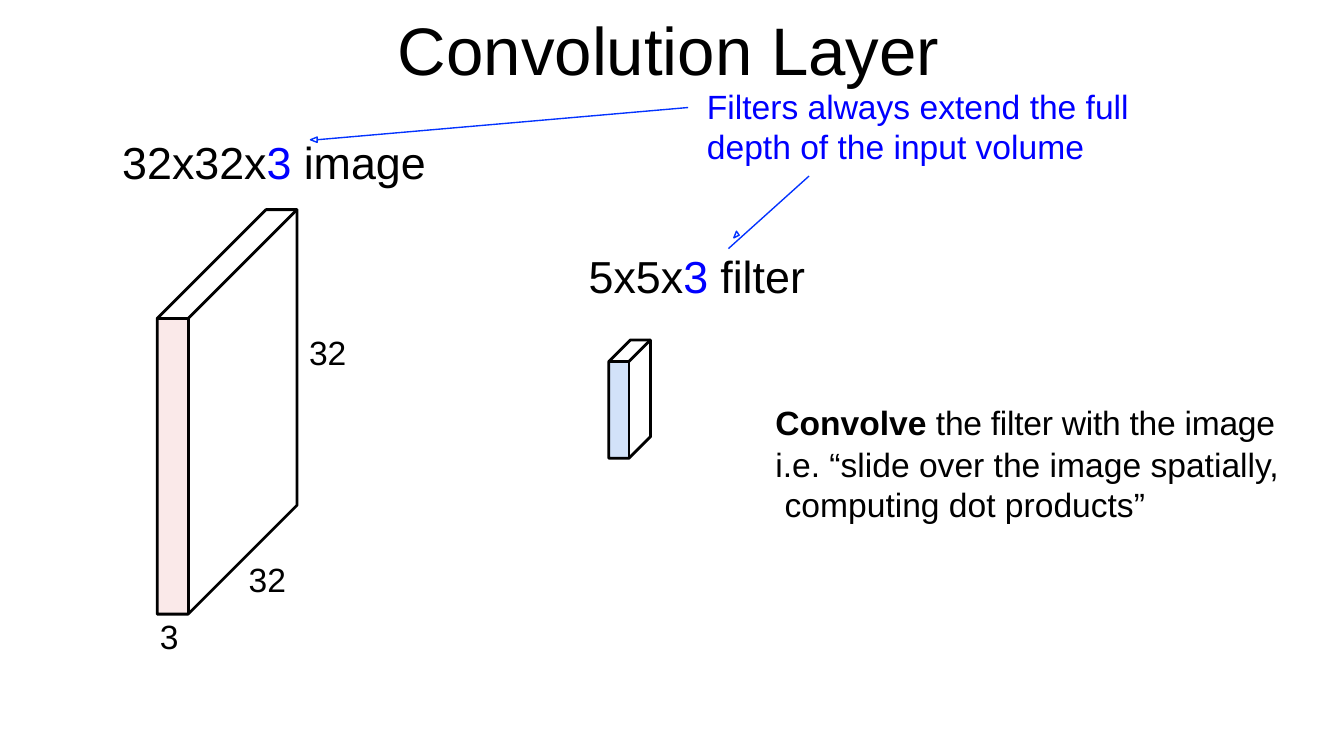
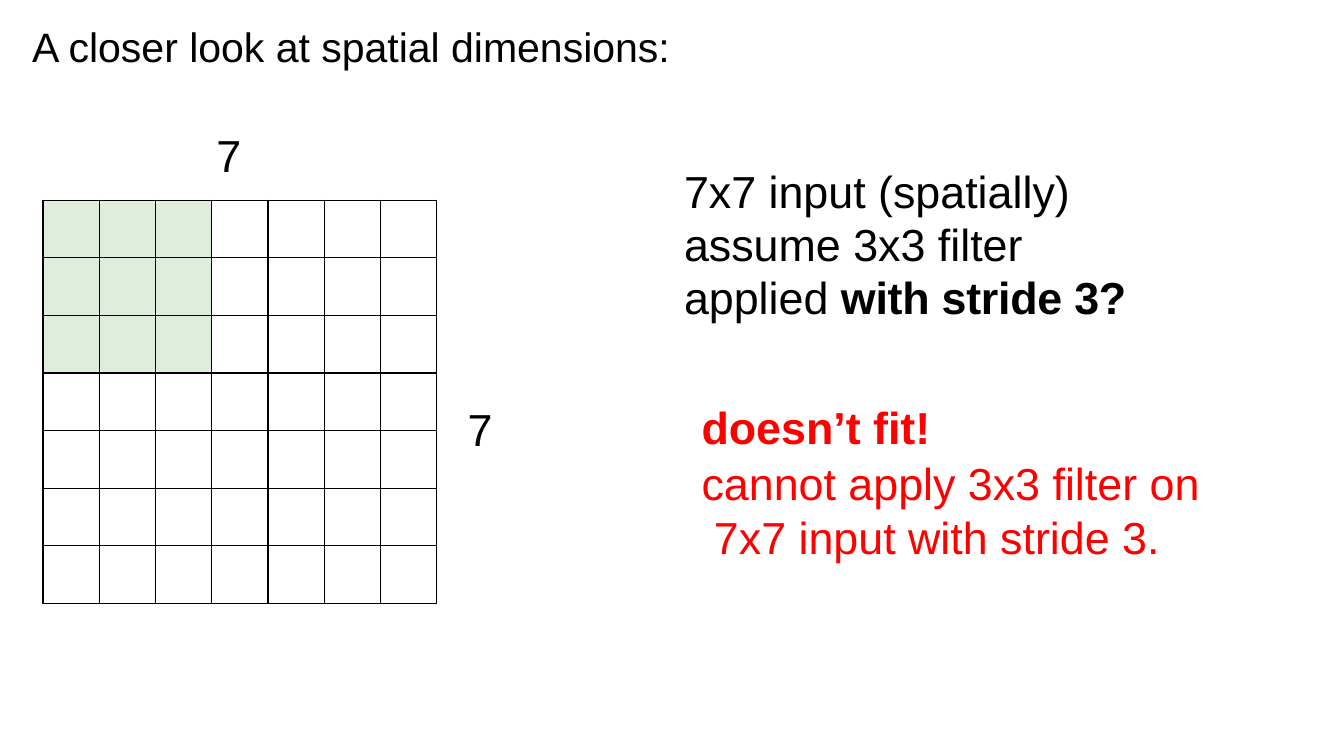
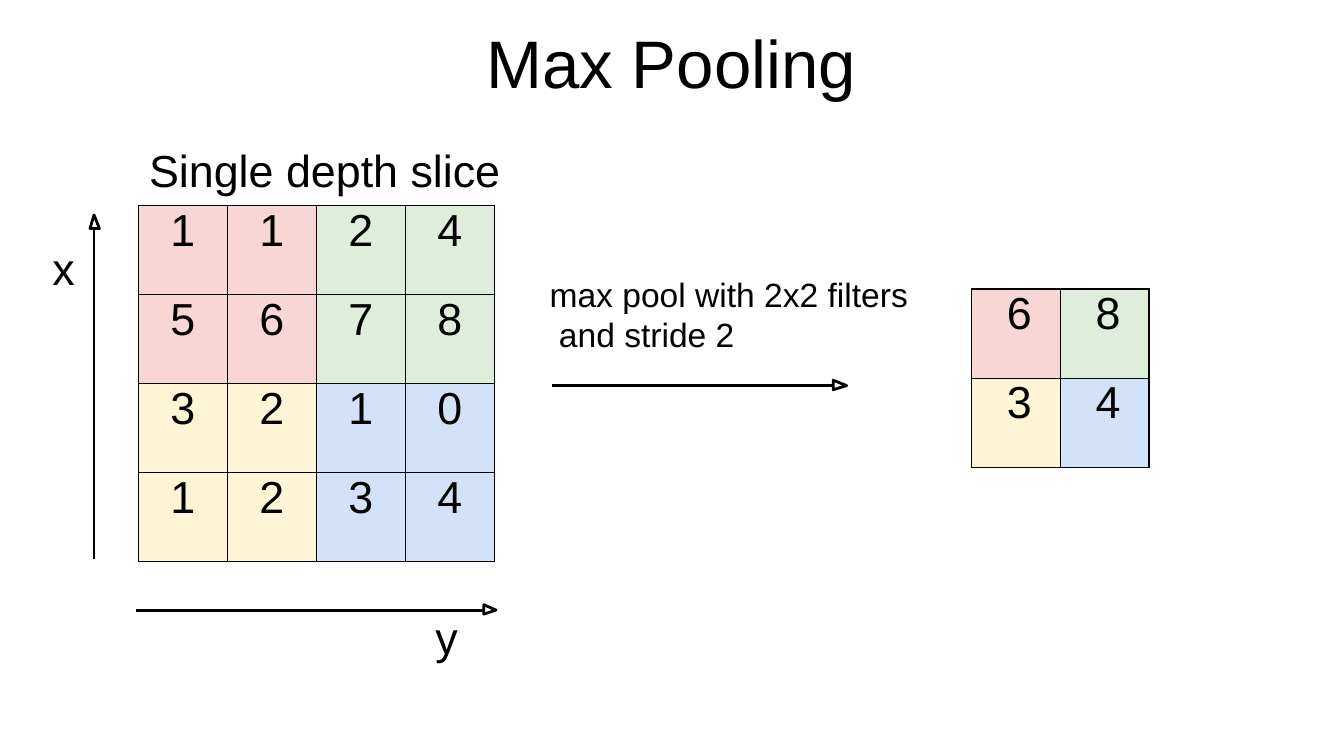
import lxml.etree
import pptx
import pptx.dml.color
import pptx.enum.shapes
import pptx.enum.text
import pptx.oxml.ns
import pptx.util

BLACK = pptx.dml.color.RGBColor(0x00, 0x00, 0x00)
BLUE = pptx.dml.color.RGBColor(0x00, 0x00, 0xFF)
ARROW_BLUE = pptx.dml.color.RGBColor(0x04, 0x33, 0xFF)
RED = pptx.dml.color.RGBColor(0xFF, 0x00, 0x00)
PINK = pptx.dml.color.RGBColor(0xF7, 0xD6, 0xD5)
GREEN = pptx.dml.color.RGBColor(0xDF, 0xED, 0xDB)
YELLOW = pptx.dml.color.RGBColor(0xFF, 0xF4, 0xD5)
SKY = pptx.dml.color.RGBColor(0xD2, 0xE2, 0xF9)

FONT = "Arial"
TITLE, LARGE, HEADING, NORMAL = 36, 24, 22, 18
THICK, THIN = 1.5, 0.75
UNIT = pptx.util.Inches(0.1)  # the slide is a 16:9 grid, 100 columns wide
qn = pptx.oxml.ns.qn


def write_text(frame, paragraphs, size, leading=None, align=pptx.enum.text.PP_ALIGN.LEFT):
    """Fill a frame; each paragraph is a list of (text, colour, bold) spans."""
    for number, spans in enumerate(paragraphs):
        para = frame.add_paragraph() if number else frame.paragraphs[0]
        para.alignment = align
        para.space_before = pptx.util.Pt(1)
        if leading:
            para.line_spacing = pptx.util.Pt(leading)
        para.font.name = FONT
        para.font.size = pptx.util.Pt(size)
        para.font.bold = spans[0][2]
        para.font.color.rgb = spans[0][1]
        for text, color, bold in spans:
            for line_number, line in enumerate(text.split("\n")):
                if line_number:
                    para.add_line_break()
                span = para.add_run()
                span.text = line
                if color != spans[0][1]:
                    span.font.color.rgb = color
                if bold != spans[0][2]:
                    span.font.bold = bold


def draw_outline(slide, points, color=None, width=THICK, fill=None, closed=True):
    corners = [(int(x * UNIT), int(y * UNIT)) for x, y in points]
    builder = slide.shapes.build_freeform(*corners[0], scale=1.0)
    builder.add_line_segments(corners[1:], close=closed)
    outline = builder.convert_to_shape()
    outline.shadow.inherit = False
    if fill is None:
        outline.fill.background()
    else:
        outline.fill.solid()
        outline.fill.fore_color.rgb = fill
    if color is None:
        outline.line.fill.background()
    else:
        outline.line.color.rgb = color
        outline.line.width = pptx.util.Pt(width)
    return outline


deck = pptx.Presentation()
deck.slide_width = 100 * UNIT
deck.slide_height = deck.slide_width * 9 // 16
convolution, dimensions, pooling = [
    deck.slides.add_slide(deck.slide_layouts[5]) for _ in range(3)
]

# Titles: slide, text, place, size
titles = [
    (convolution, "Convolution Layer", (29.5, 0.5, 40.4, 6.3), TITLE),
    (dimensions, "A closer look at spatial dimensions:", (2.3, 1.5, 47.8, 3.9), HEADING),
    (pooling, "Max Pooling", (36.1, 1.5, 27.8, 6.3), TITLE),
]
# Texts: slide, place, size, line spacing in points, paragraphs
texts = [
    (convolution, (22.9, 24.6, 3, 3.3), NORMAL, None, [[("32", BLACK, False)]]),
    (convolution, (18.4, 41.5, 3, 3.3), NORMAL, None, [[("32", BLACK, False)]]),
    (convolution, (11.8, 45.7, 2, 3.3), NORMAL, None, [[("3", BLACK, False)]]),
    (convolution, (43.7, 18.4, 16.2, 4.3), LARGE, None,
     [[("5x5x", BLACK, False), ("3 ", BLUE, False), ("filter", BLACK, False)]]),
    (convolution, (9, 9.9, 22.7, 4.3), LARGE, None,
     [[("32x32x", BLACK, False), ("3 ", BLUE, False), ("image", BLACK, False)]]),
    (convolution, (57.6, 29.8, 38, 9.3), NORMAL, 21.5,
     [[("Convolve ", BLACK, True), ("the filter with the image", BLACK, False)],
      [("i.e. “slide over the image spatially,\n computing dot products”", BLACK, False)]]),
    (convolution, (52.5, 6.3, 31.5, 3.3), NORMAL, None,
     [[("Filters always extend the full", BLUE, False)]]),
    (convolution, (52.5, 9.3, 28.2, 3.3), NORMAL, None,
     [[("depth of the input volume", BLUE, False)]]),
    (dimensions, (50.8, 12.1, 33.3, 12.2), LARGE, 28.5,
     [[("7x7 input (spatially)\nassume 3x3 filter\napplied ", BLACK, False),
       ("with stride 3?", BLACK, True)]]),
    (dimensions, (16, 9.4, 2.1, 4.3), LARGE, None, [[("7", BLACK, False)]]),
    (dimensions, (34.7, 29.8, 2.1, 4.3), LARGE, None, [[("7", BLACK, False)]]),
    (dimensions, (52.1, 29.6, 37.2, 12.3), LARGE, 29,
     [[("doesn’t fit!", RED, True)],
      [("cannot apply 3x3 filter on\n 7x7 input with stride 3.", RED, False)]]),
    (pooling, (11, 10.5, 26.4, 4.3), LARGE, None, [[("Single depth slice", BLACK, False)]]),
    (pooling, (3.8, 17.8, 1.9, 4.3), LARGE, None, [[("x", BLACK, False)]]),
    (pooling, (32.3, 45.3, 1.9, 4.3), LARGE, None, [[("y", BLACK, False)]]),
    (pooling, (40.8, 20.3, 27, 6.2), NORMAL, 21.5,
     [[("max pool with 2x2 filters\n and stride 2", BLACK, False)]]),
]
boxes = [
    (slide.shapes.title, place, size, None, [[(text, BLACK, False)]])
    for slide, text, place, size in titles
] + [(slide.shapes.add_textbox(0, 0, 0, 0), *rest) for slide, *rest in texts]

for box, place, size, leading, paragraphs in boxes:
    box.left, box.top, box.width, box.height = [int(length * UNIT) for length in place]
    frame = box.text_frame
    frame.word_wrap = True
    frame.auto_size = pptx.enum.text.MSO_AUTO_SIZE.NONE
    frame.vertical_anchor = pptx.enum.text.MSO_ANCHOR.TOP
    frame.margin_left = frame.margin_top = pptx.util.Inches(0.01)
    frame.margin_right = frame.margin_bottom = 0
    write_text(frame, paragraphs, size, leading)
    for run_properties in box.element.iter(qn("a:rPr")):
        run_properties.set("spc", "-15")

# Lines: slide, start, end, colour, width
lines = [
    (convolution, (60.2, 13.1), (54.2, 18.5), ARROW_BLUE, THIN),
    (convolution, (51.2, 8), (23.6, 10.4), ARROW_BLUE, THIN),
    (pooling, (7, 41.6), (7, 17), BLACK, THICK),
    (pooling, (10.1, 45.4), (36, 45.4), BLACK, THICK),
    (pooling, (41.1, 28.7), (62, 28.7), BLACK, THICK),
]

# Input volume and filter as slanted blocks: front face, depth, fill, opacity
for left, top, width, height, depth, fill, opacity in [
    (11.7, 23.7, 2.3, 22, 8.1, PINK, 52),
    (45.3, 26.9, 1.5, 7.2, 1.6, SKY, 100),
]:
    right, bottom = left + width, top + height
    top_left, top_right = (left, top), (right, top)
    bottom_left, bottom_right = (left, bottom), (right, bottom)
    back_left, back_right = (left + depth, top - depth), (right + depth, top - depth)
    back_bottom = (right + depth, bottom - depth)
    front = draw_outline(convolution, [top_left, top_right, bottom_right, bottom_left], fill=fill)
    shade = next(front.element.spPr.iter(qn("a:srgbClr")))
    lxml.etree.SubElement(shade, qn("a:alpha"), val=str(opacity * 1000))
    draw_outline(
        convolution,
        [top_left, back_left, back_right, back_bottom, bottom_right, bottom_left],
        BLACK,
    )
    draw_outline(convolution, [top_left, top_right, back_right], BLACK, closed=False)
    lines.append((convolution, top_right, bottom_right, BLACK, THICK))

for slide, start, end, color, width in lines:
    line = slide.shapes.add_connector(
        pptx.enum.shapes.MSO_CONNECTOR.STRAIGHT,
        *[int(length * UNIT) for length in start + end],
    )
    line.line.color.rgb = color
    line.line.width = pptx.util.Pt(width)
    lxml.etree.SubElement(line.element.spPr, qn("a:effectLst"))

# Hollow arrowheads
for slide, corners, color, width in [
    (convolution, [(54.8, 17.2), (54.6, 17.7), (55, 17.5)], ARROW_BLUE, THIN),
    (convolution, [(23.6, 10.2), (23.1, 10.4), (23.6, 10.6)], ARROW_BLUE, THIN),
    (pooling, [(7.4, 17), (7, 16), (6.7, 17)], BLACK, THICK),
    (pooling, [(36, 45.7), (36.9, 45.4), (36, 45)], BLACK, THICK),
    (pooling, [(62, 29), (63, 28.7), (62, 28.3)], BLACK, THICK),
]:
    draw_outline(slide, corners, color, width)

# Tables: slide, place, rows of digits, cells per coloured block, block colours, left margin
quadrants = {(0, 0): PINK, (0, 1): GREEN, (1, 0): YELLOW, (1, 1): SKY}
for slide, place, rows, block, fills, margin in [
    (dimensions, (3.2, 14.9, 29.3, 30), [" " * 7] * 7, 3, {(0, 0): GREEN}, 0),
    (pooling, (10.3, 15.3, 26.5, 26.5), ["1124", "5678", "3210", "1234"], 2, quadrants, 0),
    (pooling, (72.3, 21.5, 13.2, 13.3), ["68", "34"], 1, quadrants, 0.5),
]:
    table = slide.shapes.add_table(
        len(rows), len(rows[0]), *[int(length * UNIT) for length in place]
    ).table
    table.first_row = table.horz_banding = False
    for row, digits in enumerate(rows):
        for column, digit in enumerate(digits):
            cell = table.cell(row, column)
            cell.margin_left = int(margin * UNIT)
            cell.margin_right = cell.margin_top = cell.margin_bottom = 0
            for side in ("a:lnL", "a:lnR", "a:lnT", "a:lnB"):
                border = lxml.etree.SubElement(
                    cell._tc.get_or_add_tcPr(), qn(side), w=str(pptx.util.Pt(THIN))
                )
                paint = lxml.etree.SubElement(border, qn("a:solidFill"))
                lxml.etree.SubElement(paint, qn("a:srgbClr"), val=str(BLACK))
            fill = fills.get((row // block, column // block))
            if fill is None:
                cell.fill.background()
            else:
                cell.fill.solid()
                cell.fill.fore_color.rgb = fill
            if digit.strip():
                write_text(
                    cell.text_frame, [[(digit, BLACK, False)]], LARGE,
                    align=pptx.enum.text.PP_ALIGN.CENTER,
                )

deck.save("out.pptx")
